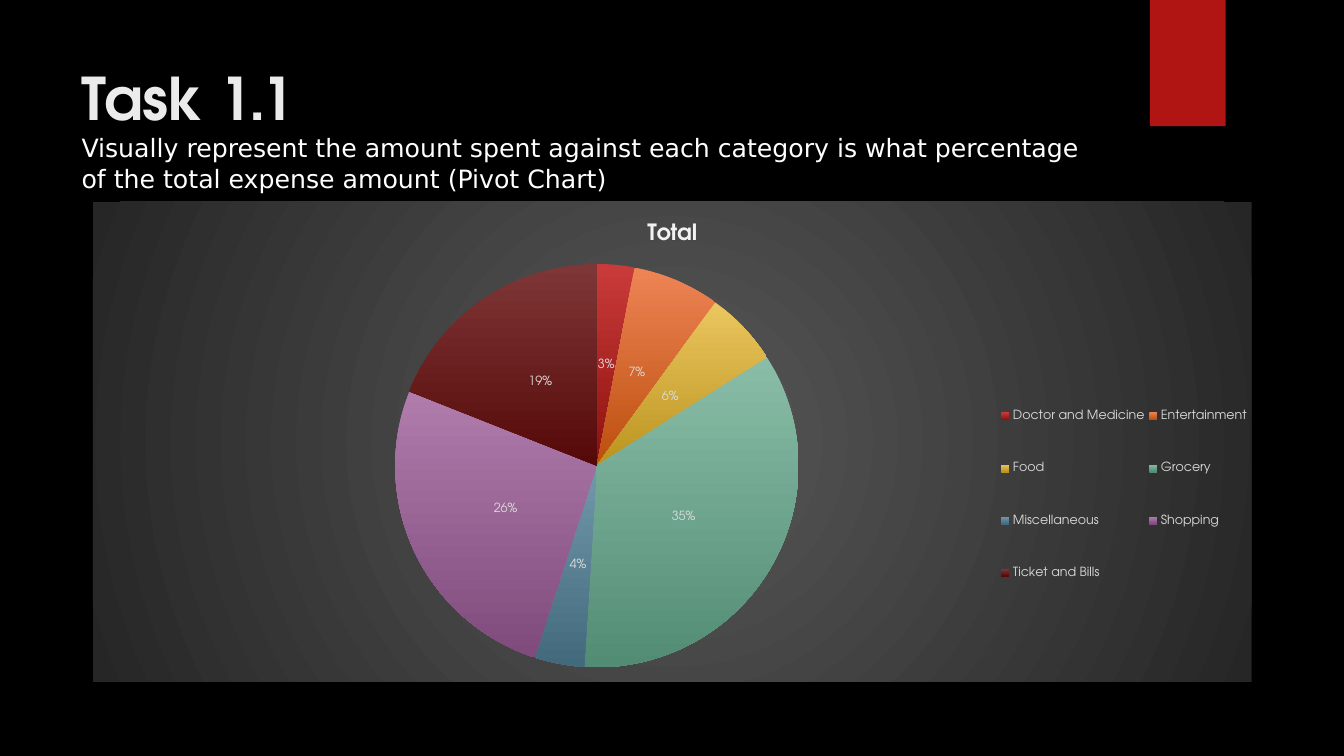
from lxml import etree
from pptx import Presentation
from pptx.chart.data import CategoryChartData
from pptx.dml.color import RGBColor
from pptx.enum.chart import XL_CHART_TYPE, XL_LABEL_POSITION, XL_LEGEND_POSITION
from pptx.enum.shapes import MSO_SHAPE
from pptx.enum.text import MSO_ANCHOR, PP_ALIGN
from pptx.oxml import parse_xml
from pptx.oxml.ns import nsdecls, qn
from pptx.util import Cm, Pt

PIE = XL_CHART_TYPE.PIE
CENTER = XL_LABEL_POSITION.CENTER
RIGHT = XL_LEGEND_POSITION.RIGHT
RECT = MSO_SHAPE.RECTANGLE
MIDDLE = MSO_ANCHOR.MIDDLE
LEFT = PP_ALIGN.LEFT
TITLE_ONLY = 5

SANS = "DejaVu Sans"
GEO = "TeX Gyre Adventor"
HEAD = {"name": GEO, "size": Pt(42), "bold": True}
SUB = {"name": SANS, "size": Pt(18), "bold": False}
CAPTION = {"name": GEO, "size": Pt(16), "bold": True}
BASE = {"name": GEO, "size": Pt(10)}
SMALL = {"name": GEO, "size": Pt(9)}

# category, percent, top colour, bottom colour
SPEND = [
    ("Doctor and Medicine", 3, "C93B3A", "8D110F"),
    ("Entertainment", 7, "EE8455", "BC4F0E"),
    ("Food", 6, "EBC65F", "BB941F"),
    ("Grocery", 35, "89BDA7", "538C74"),
    ("Miscellaneous", 4, "7198AB", "436A7C"),
    ("Shopping", 26, "AF7CAC", "7F4B7C"),
    ("Ticket and Bills", 19, "7F3636", "550A09"),
]


def paint(color, code):
    color.rgb = RGBColor.from_string(code)


def style(font, look, code):
    for key, value in look.items():
        setattr(font, key, value)
    paint(font.color, code)


def place(shape, *box):
    for key, value in zip(("left", "top", "width", "height"), box):
        setattr(shape, key, Cm(value))


def add_head(slide, head, sub):
    title = slide.shapes.title
    place(title, 1.8, 1.27, 26.14, 3.89)
    frame = title.text_frame
    frame.word_wrap = True
    frame.vertical_anchor = MIDDLE
    para = frame.paragraphs[0]
    para.alignment = LEFT
    run = para.add_run()
    run.text = head
    style(run.font, HEAD, "EBEBEB")
    para.add_line_break()
    run = para.add_run()
    run.text = sub
    style(run.font, SUB, "FFFFFF")


def add_tab(slide):
    tab = slide.shapes.add_shape(RECT, Cm(28.98), Cm(0), Cm(1.91), Cm(3.18))
    tab.shadow.inherit = False
    tab.fill.solid()
    paint(tab.fill.fore_color, "B01513")
    tab.line.fill.background()


def fix_layout(part, index, inner, **box):
    """Pin a chart part to fractions of the chart area."""
    for old in part.findall(qn("c:layout")):
        part.remove(old)
    layout = parse_xml(f"<c:layout {nsdecls('c')}><c:manualLayout/></c:layout>")
    marks = {"layoutTarget": "inner"} if inner else {}
    marks.update(xMode="edge", yMode="edge", **box)
    for tag, value in marks.items():
        etree.SubElement(layout[0], qn("c:" + tag)).set("val", str(value))
    part.insert(index, layout)


def glow(chart, core, edge):
    """Fill the chart area with a radial gradient."""
    stops = "".join(
        f'<a:gs pos="{pos}"><a:srgbClr val="{code}"/></a:gs>'
        for pos, code in ((0, core), (100000, edge))
    )
    area = parse_xml(
        f"<c:spPr {nsdecls('c', 'a')}><a:gradFill><a:gsLst>{stops}</a:gsLst>"
        '<a:path path="circle"><a:fillToRect l="50000" t="50000" r="50000" b="50000"/>'
        "</a:path></a:gradFill><a:ln><a:noFill/></a:ln></c:spPr>"
    )
    chart.element.find(qn("c:chart")).addnext(area)


def shade(point, top, bottom):
    fill = point.format.fill
    fill.gradient()
    fill.gradient_angle = 270
    for stop, code in zip(fill.gradient_stops, (top, bottom)):
        paint(stop.color, code)
    point.format.line.fill.background()


def add_pie(slide):
    data = CategoryChartData()
    data.categories = [row[0] for row in SPEND]
    data.add_series("Total", [row[1] for row in SPEND])
    chart = slide.shapes.add_chart(
        PIE, Cm(2.34), Cm(5.08), Cm(29.2), Cm(12.1), data
    ).chart
    style(chart.font, BASE, "FFFFFF")
    glow(chart, "595959", "262626")

    chart.has_title = True
    run = chart.chart_title.text_frame.paragraphs[0].add_run()
    run.text = "Total"
    style(run.font, CAPTION, "F2F2F2")

    chart.has_legend = True
    legend = chart.legend
    legend.position = RIGHT
    legend.include_in_layout = False
    style(legend.font, SMALL, "D9D9D9")

    plot = chart.plots[0]
    plot.vary_by_categories = True
    plot.has_data_labels = True
    labels = plot.data_labels
    look = {
        "show_percentage": True,
        "show_value": False,
        "number_format": "0%",
        "number_format_is_linked": False,
        "position": CENTER,
    }
    for key, value in look.items():
        setattr(labels, key, value)
    style(labels.font, SMALL, "D9D9D9")
    for i, (_, _, top, bottom) in enumerate(SPEND):
        shade(plot.series[0].points[i], top, bottom)

    root = chart.element.find(qn("c:chart"))
    fix_layout(root.find(qn("c:plotArea")), 0, True, x=0.26, y=0.13, w=0.35, h=0.84)
    fix_layout(root.find(qn("c:legend")), 1, False, x=0.78, y=0.35, w=0.22, h=0.52)


def main():
    deck = Presentation()
    deck.slide_width = Cm(33.87)
    deck.slide_height = Cm(19.05)
    slide = deck.slides.add_slide(deck.slide_layouts[TITLE_ONLY])
    back = slide.background.fill
    back.solid()
    paint(back.fore_color, "000000")
    add_tab(slide)
    add_head(
        slide,
        "Task 1.1",
        "Visually represent the amount spent against each category is what "
        "percentage of the total expense amount (Pivot Chart)",
    )
    add_pie(slide)
    deck.save("out.pptx")


if __name__ == "__main__":
    main()
